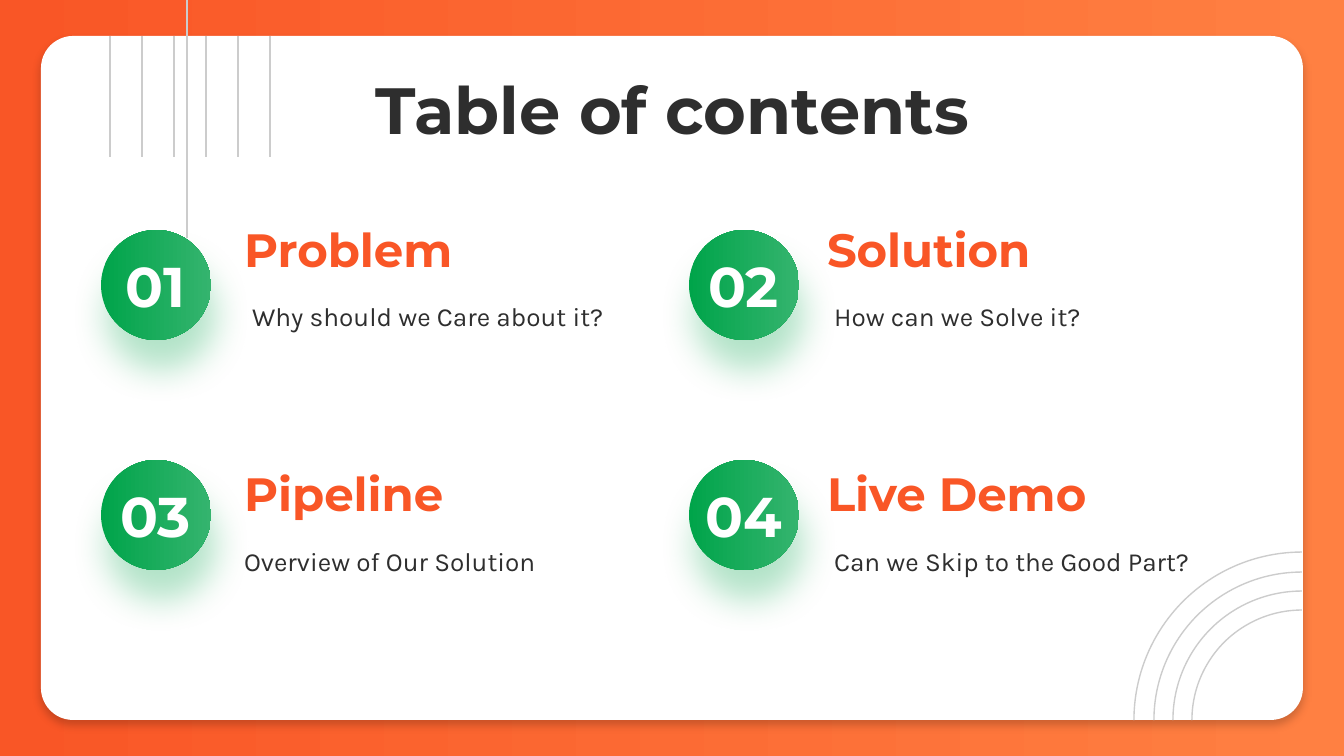
from lxml import etree
from pptx import Presentation
from pptx.dml.color import RGBColor
from pptx.enum.shapes import MSO_CONNECTOR as CONNECTOR, MSO_SHAPE as SHAPE
from pptx.enum.text import MSO_ANCHOR as ANCHOR, PP_ALIGN as ALIGN
from pptx.oxml.ns import qn
from pptx.util import Pt

PX = 914400 / 134.4  # EMU in one px
COLORS = {
    "orange": "F95626", "light orange": "FF8042",
    "green": "00A44A", "light green": "34B46E",
    "white": "FFFFFF", "black": "000000", "ink": "2E2E2E", "line": "CCCCCC",
}
RGB = {name: RGBColor.from_string(value) for name, value in COLORS.items()}


def emu(*lengths):
    return [round(length * PX) for length in lengths]


def add_text(box, text, size, color, font="Montserrat", bold=True,
             align=ALIGN.LEFT, anchor=ANCHOR.MIDDLE):
    frame = slide.shapes.add_textbox(*emu(*box)).text_frame
    frame.word_wrap = True
    frame.vertical_anchor = anchor
    frame.margin_left = frame.margin_right = emu(13)[0]
    frame.margin_top = frame.margin_bottom = emu(13)[0]
    frame.text = text
    paragraph = frame.paragraphs[0]
    paragraph.alignment = align
    run_font = paragraph.runs[0].font
    run_font.name, run_font.size, run_font.bold = font, Pt(size), bold
    run_font.color.rgb = RGB[color]


presentation = Presentation()
presentation.slide_width, presentation.slide_height = emu(1344, 756)
slide = presentation.slides.add_slide(presentation.slide_layouts[6])
gradients = [(slide.background.fill, "orange", "light orange")]
shadows = []

# White card
card = slide.shapes.add_shape(SHAPE.ROUNDED_RECTANGLE, *emu(41, 36, 1262, 684))
card.adjustments[0] = 0.047
card.fill.solid()
card.fill.fore_color.rgb = RGB["white"]
card.line.fill.background()
shadows.append((card, "black", 20, 4.5, 3, 90))

# Vertical lines: a row of six and one long line down to the first circle
vertical_lines = [(110 + 32 * i, 36, 157) for i in range(6)] + [(187, 0, 238)]
for x, top, bottom in vertical_lines:
    line = slide.shapes.add_connector(CONNECTOR.STRAIGHT, *emu(x, top, x, bottom))
    line.line.color.rgb = RGB["line"]
    line.line.width = Pt(0.75)
    etree.SubElement(line._element.spPr, qn("a:effectLst"))

# Quarter circles around the lower right corner of the card
for radius in (110, 129, 148, 168):
    arc = slide.shapes.add_shape(
        SHAPE.ARC, *emu(1302 - radius, 720 - radius, 2 * radius, 2 * radius))
    arc.rotation = 270
    arc.fill.background()
    arc.line.color.rgb = RGB["line"]
    arc.line.width = Pt(0.75)
    arc.shadow.inherit = False

# Title
add_text((106, 66, 1133, 85), "Table of contents", 35, "ink", align=ALIGN.CENTER)

# Contents: circle corner, heading and description places, texts
upper = (219, 71, ANCHOR.BOTTOM)
lower = (449, 87, ANCHOR.MIDDLE)
contents = [
    (101, 230, 231, upper, 239, 281, "Problem", "Why should we Care about it?"),
    (689, 230, 814, upper, 821, 281, "Solution", "How can we Solve it?"),
    (101, 460, 231, lower, 231, 526, "Pipeline", "Overview of Our Solution"),
    (689, 460, 814, lower, 821, 526, "Live Demo", "Can we Skip to the Good Part?"),
]
for number, item in enumerate(contents, start=1):
    left, top, heading_left, row, detail_left, detail_top, heading, detail = item
    circle = slide.shapes.add_shape(SHAPE.OVAL, *emu(left, top, 110, 110))
    circle.line.fill.background()
    gradients.append((circle.fill, "green", "light green"))
    shadows.append((circle, "green", 30, 19.1, 16.5, 81))
    add_text((left - 8, top + 12, 125, 87), f"{number:02}", 30, "white",
             align=ALIGN.CENTER)
    heading_top, heading_height, anchor = row
    add_text((heading_left, heading_top, 424, heading_height), heading, 25,
             "orange", anchor=anchor)
    add_text((detail_left, detail_top, 410, 71), detail, 14, "ink",
             font="Karla", bold=False)

# Gradients run from left to right
for fill, first, last in gradients:
    fill.gradient()
    fill.gradient_angle = 0
    for stop, color, position in zip(fill.gradient_stops, (first, last), (0, 1)):
        stop.color.rgb = RGB[color]
        stop.position = position

# Soft shadows
for shape, color, opacity, blur, distance, angle in shadows:
    shape.shadow.inherit = False
    effects = shape._element.spPr.find(qn("a:effectLst"))
    shadow = etree.SubElement(
        effects, qn("a:outerShdw"), blurRad=str(Pt(blur)), dist=str(Pt(distance)),
        dir=str(angle * 60000), algn="bl", rotWithShape="0")
    shade = etree.SubElement(shadow, qn("a:srgbClr"), val=COLORS[color])
    etree.SubElement(shade, qn("a:alpha"), val=str(opacity * 1000))

presentation.save("out.pptx")
